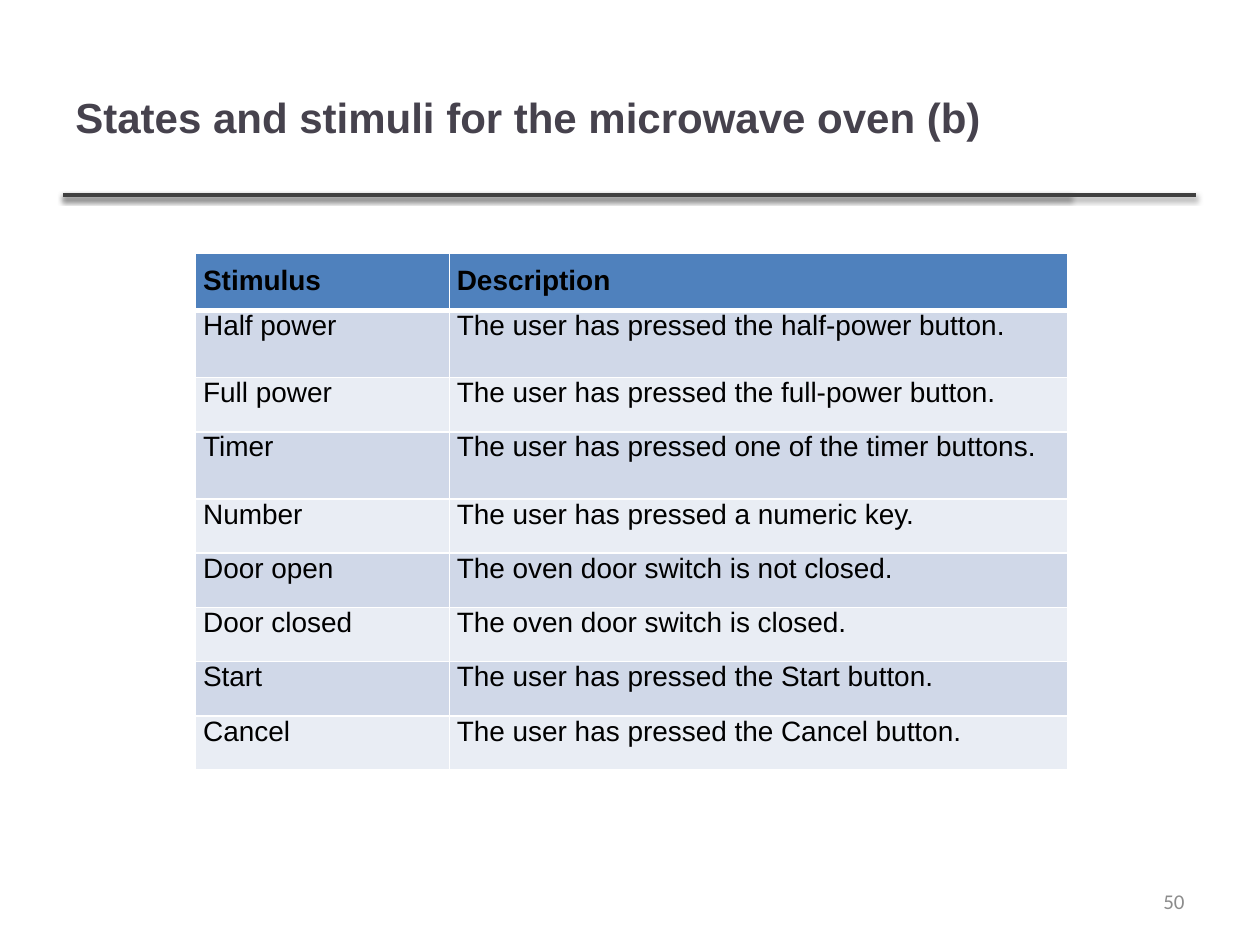
from lxml import etree
from pptx import Presentation
from pptx.dml.color import RGBColor
from pptx.enum import shapes, text
from pptx.oxml import ns, parse_xml
from pptx.util import Pt

ROWS = [
    ("Stimulus", "Description"),
    ("Half power ", "The user has pressed the half-power button."),
    ("Full power ", "The user has pressed the full-power button."),
    ("Timer", "The user has pressed one of the timer buttons."),
    ("Number", "The user has pressed a numeric key."),
    ("Door open", "The oven door switch is not closed."),
    ("Door closed", "The oven door switch is closed."),
    ("Start", "The user has pressed the Start button."),
    ("Cancel", "The user has pressed the Cancel button. "),
]
TALL = (1, 3)
HEAD, BANDS = "4F81BD", ("E9EDF4", "D0D8E8")


def color(code):
    return RGBColor.from_string(code)


def write(frame, words, size=16, font="Arial", ink="000000", bold=False,
          align=text.PP_ALIGN.LEFT):
    par = frame.paragraphs[0]
    par.alignment = align
    run = par.add_run()
    run.text = words
    run.font.size = Pt(size)
    run.font.name = font
    run.font.bold = bold
    run.font.color.rgb = color(ink)


def edge(cell, side, width, ink="FFFFFF"):
    """Draw one border (L, R, T or B); call before the cell is filled."""
    line = etree.SubElement(cell._tc.get_or_add_tcPr(), ns.qn("a:ln" + side),
                            w=str(Pt(width)))
    fill = etree.SubElement(line, ns.qn("a:solidFill"))
    etree.SubElement(fill, ns.qn("a:srgbClr"), val=ink)


class Page:
    rule = "404040"

    def __init__(self, deck):
        self.slide = deck.slides.add_slide(deck.slide_layouts[6])

    def line(self, left, right, y):
        """Add a level rule with a soft shadow below it."""
        rule = self.slide.shapes.add_connector(
            shapes.MSO_CONNECTOR.STRAIGHT, Pt(left), Pt(y), Pt(right), Pt(y))
        rule.line.width = Pt(2)
        rule.line.color.rgb = color(self.rule)
        rule._element.spPr.append(parse_xml(
            f'<a:effectLst {ns.nsdecls("a")}>'
            f'<a:outerShdw blurRad="{Pt(3.1)}" dist="{Pt(1.6)}" dir="5400000"'
            ' rotWithShape="0"><a:srgbClr val="000000">'
            '<a:alpha val="38000"/></a:srgbClr></a:outerShdw></a:effectLst>'))

    def label(self, left, top, width, height, words, **style):
        box = self.slide.shapes.add_textbox(
            Pt(left), Pt(top), Pt(width), Pt(height))
        frame = box.text_frame
        frame.word_wrap = True
        frame.vertical_anchor = text.MSO_ANCHOR.MIDDLE
        write(frame, words, **style)

    def table(self, left, top, cols, highs, rows):
        grid = self.slide.shapes.add_table(
            len(rows), len(cols), Pt(left), Pt(top),
            Pt(sum(cols)), Pt(sum(highs))).table
        for col, width in zip(grid.columns, cols):
            col.width = Pt(width)
        for i, (row, high) in enumerate(zip(grid.rows, highs)):
            row.height = Pt(high)
            for cell, words in zip(row.cells, rows[i]):
                self.cell(cell, words, i)

    def cell(self, cell, words, row):
        head = row == 0
        cell.margin_left = cell.margin_right = Pt(4.3)
        cell.margin_top = Pt(6.6 if head else 0)
        cell.margin_bottom = Pt(6.6)
        edge(cell, "L", 1)
        edge(cell, "R", 1)
        edge(cell, "T", 3 if row == 1 else 1)
        edge(cell, "B", 3 if head else 1)
        cell.fill.solid()
        cell.fill.fore_color.rgb = color(HEAD if head else BANDS[row % 2])
        write(cell.text_frame, words, bold=head,
              align=text.PP_ALIGN.JUSTIFY)


def main():
    deck = Presentation()
    deck.slide_width, deck.slide_height = Pt(720), Pt(540)
    page = Page(deck)
    for right in (611.5, 683.5):
        page.line(36, right, 111.5)
    page.label(36, 21.6, 575, 90, "States and stimuli for the microwave oven (b)",
               size=24, ink="46424D", bold=True)
    page.label(516, 500.5, 168, 28.8, "50", size=12, font="Calibri",
               ink="8C8C8C", align=text.PP_ALIGN.RIGHT)
    highs = [38.4 if i in TALL else 31 for i in range(len(ROWS))]
    page.table(111.8, 145, (145, 353.2), highs, ROWS)
    deck.save("out.pptx")


if __name__ == "__main__":
    main()
